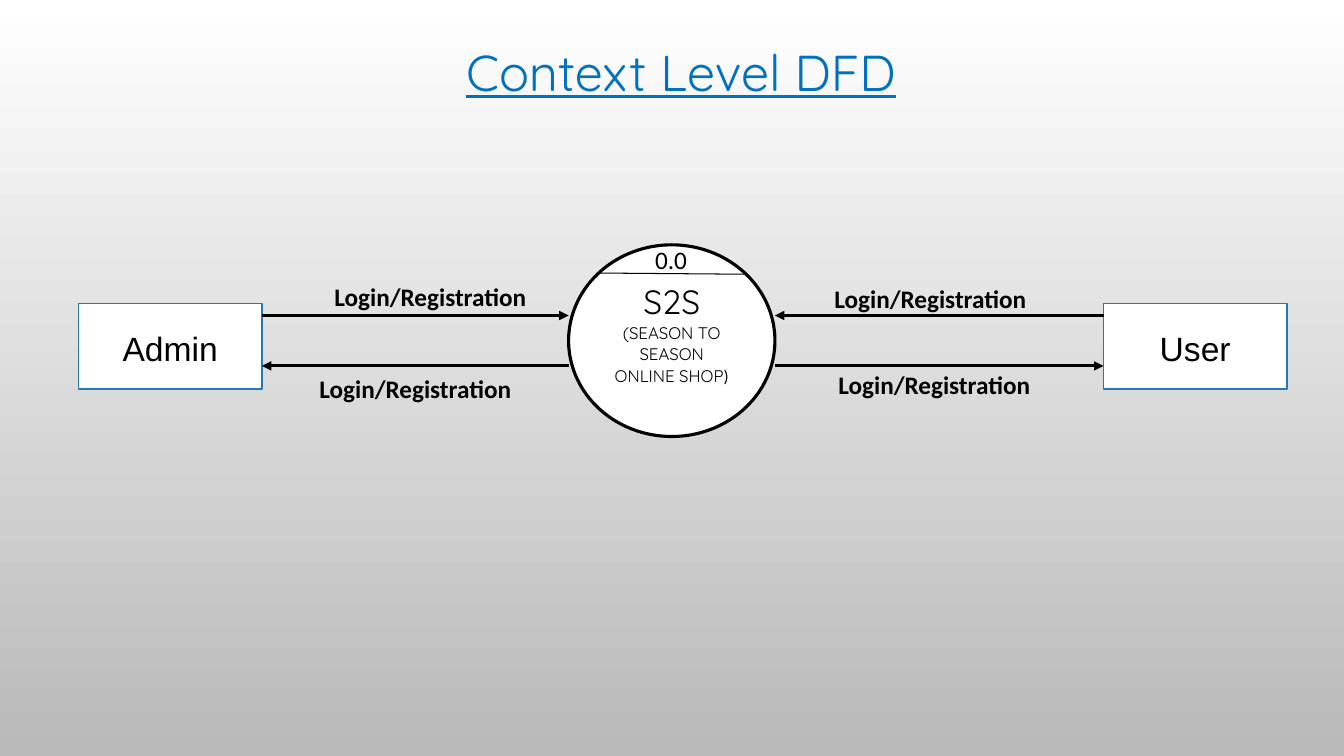
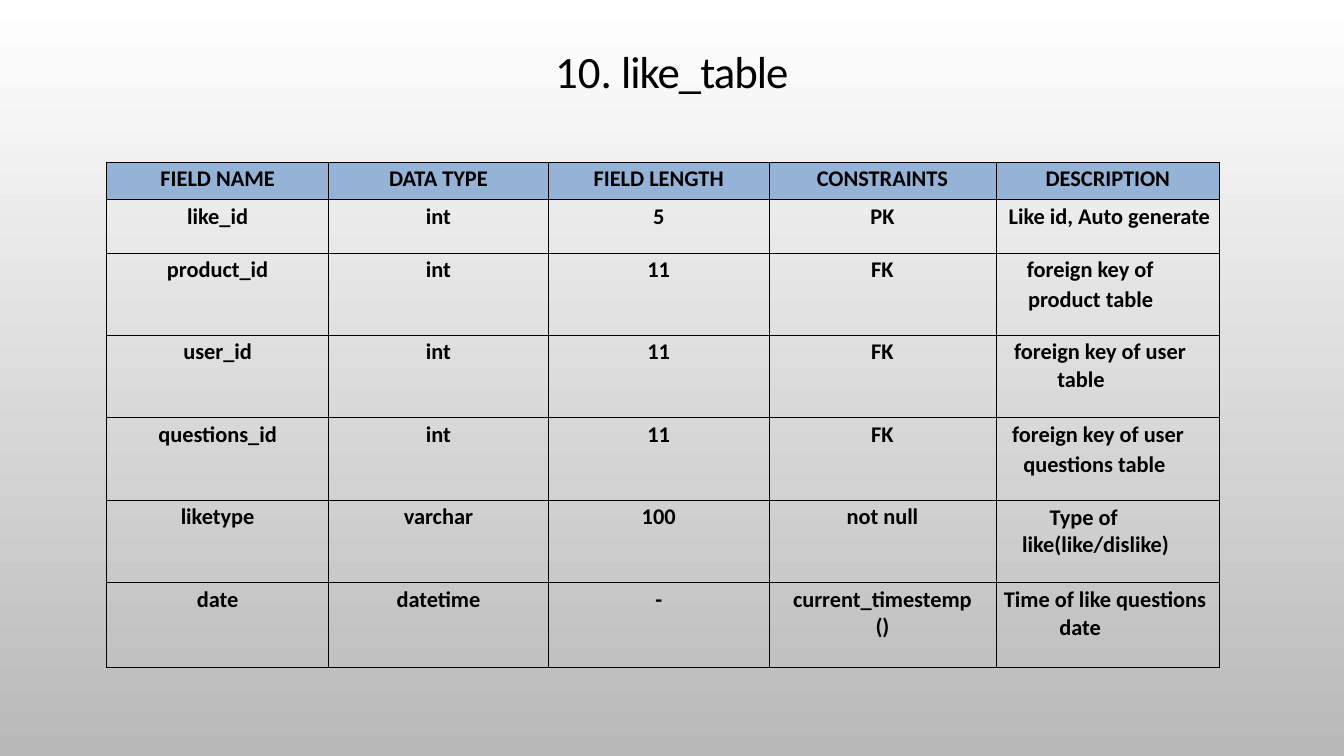
"""Builds two slides: a context diagram and a table of database fields."""
from dataclasses import dataclass

from pptx import Presentation
from pptx.dml.color import RGBColor as Rgb
from pptx.enum.shapes import MSO_CONNECTOR as Link, MSO_SHAPE as Kind
from pptx.enum.text import MSO_ANCHOR as Anchor, PP_ALIGN as Align
from pptx.oxml.ns import qn
from pptx.presentation import Presentation as Deck
from pptx.shapes.autoshape import Shape
from pptx.slide import Slide
from pptx.table import _Cell as Cell
from pptx.text.text import TextFrame as Frame, _Paragraph as Para
from pptx.util import Cm, Pt
from lxml.etree import SubElement as Sub


@dataclass(frozen=True)
class Theme:
    """Colours, fonts and type sizes in points."""
    black: str = "000000"
    white: str = "FFFFFF"
    grey: str = "B9B9B9"
    blue: str = "0070C0"
    edge: str = "2379B0"
    head: str = "94B3D6"
    sans: str = "Calibri"
    plain: str = "Arial"
    round: str = "Quicksand"
    title: int = 36
    topic: int = 32
    name: int = 24
    label: int = 18
    cell: int = 16
    gap: int = 14
    small: int = 12


@dataclass(frozen=True)
class Box:
    """Place and size in centimetres."""
    left: float
    top: float
    width: float
    height: float

    def emu(self) -> tuple[Cm, Cm, Cm, Cm]:
        """Gives the four lengths for a shape."""
        return Cm(self.left), Cm(self.top), Cm(self.width), Cm(self.height)


@dataclass(frozen=True)
class Flow:
    """A straight line between two points, in centimetres."""
    x1: float
    y1: float
    x2: float
    y2: float
    weight: float = 2.25
    arrow: bool = True


@dataclass(frozen=True)
class Note:
    """A description cell with its indents, line spacing and top margin."""
    text: str
    left: float = 0
    first: float = 0
    lead: float = 1.02
    top: float = 0.08
    align: Align = Align.LEFT


THEME = Theme()
LEAD, AFTER = 1.07, 8
LEFT_BOX, RIGHT_BOX = Box(1.98, 7.65, 4.62, 2.16), Box(27.81, 7.65, 4.62, 2.16)
HUB = Box(14.33, 6.17, 5.2, 4.83)
EDGE_L, EDGE_R = LEFT_BOX.left + LEFT_BOX.width, HUB.left + HUB.width
HIGH, LOW = 7.95, 9.22

FLOWS = [
    Flow(EDGE_L, HIGH, HUB.left, HIGH),
    Flow(EDGE_R, LOW, RIGHT_BOX.left, LOW),
    Flow(HUB.left, LOW, EDGE_L, LOW),
    Flow(RIGHT_BOX.left, HIGH, EDGE_R, HIGH),
    Flow(15.09, 6.88, 18.77, 6.91, weight=0.75, arrow=False),
]
LABELS = [(7.8, 9.22), (8.18, 6.91), (20.78, 6.96), (20.88, 9.12)]

HEADS = ["FIELD NAME", "DATA TYPE", "FIELD LENGTH", "CONSTRAINTS", "DESCRIPTION"]
ROWS = [
    ["like_id", "int", "5", "PK",
     Note("Like id, Auto generate", left=0.08, lead=1, align=Align.CENTER)],
    ["product_id", "int", "11", "FK",
     Note("foreign key of product table", 0.81, -0.03, 1.08, 0.03)],
    ["user_id", "int", "11", "FK",
     Note("foreign key of user table", 1.55, -1.09)],
    ["questions_id", "int", "11", "FK",
     Note("foreign key of user questions table", 0.69, -0.28, 1.09, 0.03)],
    ["liketype", "varchar", "100", "not null",
     Note("Type of like(like/dislike)", 0.66, 0.69)],
    ["date", "datetime", "-", "current_timestemp\n()",
     Note("Time of like questions date", 1.6, -1.4)],
]
WIDTHS = [5.59, 5.54, 5.56, 5.72, 5.64]
HEIGHTS = [0.94, 1.35, 2.06, 2.08, 2.08, 2.08, 2.13]


def write(para: Para, text: str, *, size: int, font: str = THEME.sans,
          color: str = THEME.black, bold: bool = False, under: bool = False,
          track: int = 0, align: Align = Align.LEFT, lead: float = 1,
          after: float = 0) -> None:
    """Adds one formatted run to a paragraph."""
    para.alignment, para.line_spacing = align, lead
    para.space_before, para.space_after = Pt(0), Pt(after)
    run = para.add_run()
    run.text = text
    style = run.font
    style.name, style.size, style.bold = font, Pt(size), bold
    style.underline = under
    style.color.rgb = Rgb.from_string(color)
    if track:
        run._r.get_or_add_rPr().set("spc", str(track))


def start(deck: Deck, box: Box) -> tuple[Slide, Para]:
    """Adds a slide and gives its placed title paragraph."""
    slide = deck.slides.add_slide(deck.slide_layouts[5])
    title = slide.shapes.title
    title.left, title.top, title.width, title.height = box.emu()
    title.text_frame.vertical_anchor = Anchor.MIDDLE
    return slide, title.text_frame.paragraphs[0]


def shape(slide: Slide, kind: Kind, box: Box, *, edge: str, weight: float,
          anchor: Anchor) -> Shape:
    """Draws a white outlined shape."""
    item = slide.shapes.add_shape(kind, *box.emu())
    item.shadow.inherit = False
    item.fill.solid()
    item.fill.fore_color.rgb = Rgb.from_string(THEME.white)
    item.line.color.rgb = Rgb.from_string(edge)
    item.line.width = Pt(weight)
    item.text_frame.word_wrap = True
    item.text_frame.vertical_anchor = anchor
    return item


def entity(slide: Slide, box: Box, name: str) -> None:
    """Draws a named outside party."""
    item = shape(slide, Kind.RECTANGLE, box, edge=THEME.edge, weight=1.25,
                 anchor=Anchor.MIDDLE)
    write(item.text_frame.paragraphs[0], name, size=THEME.name, font=THEME.plain,
          align=Align.CENTER, lead=LEAD, after=AFTER)


def hub(slide: Slide) -> None:
    """Draws the central process."""
    item = shape(slide, Kind.OVAL, HUB, edge=THEME.black, weight=2.25,
                 anchor=Anchor.TOP)
    runs = [
        ("S2S", THEME.name, THEME.round),
        (" ", THEME.gap, THEME.round),
        ("(SEASON TO SEASON ONLINE SHOP", THEME.small, THEME.round),
        (")", THEME.small, THEME.sans),
    ]
    for text, size, font in runs:
        write(item.text_frame.paragraphs[0], text, size=size, font=font,
              align=Align.CENTER, lead=LEAD, after=AFTER)


def connect(slide: Slide, flow: Flow) -> None:
    """Draws a line, with an arrowhead at its end if asked."""
    line = slide.shapes.add_connector(
        Link.STRAIGHT, Cm(flow.x1), Cm(flow.y1), Cm(flow.x2), Cm(flow.y2))
    line.line.color.rgb = Rgb.from_string(THEME.black)
    line.line.width = Pt(flow.weight)
    if flow.arrow:
        Sub(line.line._get_or_add_ln(), qn("a:tailEnd"), type="triangle")
    Sub(line._element.spPr, qn("a:effectLst"))


def field(slide: Slide, box: Box) -> Para:
    """Adds a text box and gives its first paragraph."""
    frame: Frame = slide.shapes.add_textbox(*box.emu()).text_frame
    frame.word_wrap = True
    return frame.paragraphs[0]


def border(cell: Cell) -> None:
    """Puts a thin black line on each side of a cell."""
    props = cell._tc.get_or_add_tcPr()
    for side in ("lnL", "lnR", "lnT", "lnB"):
        line = Sub(props, qn(f"a:{side}"), w=str(Pt(0.5)))
        Sub(Sub(line, qn("a:solidFill")), qn("a:srgbClr"), val=THEME.black)


def fill(cell: Cell, value: str | Note, header: bool) -> None:
    """Formats a cell and writes its lines."""
    note = value if isinstance(value, Note) else Note(
        value, lead=1, align=Align.CENTER)
    border(cell)
    if header:
        cell.fill.solid()
        cell.fill.fore_color.rgb = Rgb.from_string(THEME.head)
    else:
        cell.fill.background()
    cell.margin_left = cell.margin_right = cell.margin_bottom = 0
    cell.margin_top = Cm(note.top)
    frame = cell.text_frame
    for index, text in enumerate(note.text.split("\n")):
        para = frame.add_paragraph() if index else frame.paragraphs[0]
        props = para._p.get_or_add_pPr()
        props.set("marL", str(Cm(note.left)))
        props.set("indent", str(Cm(note.first)))
        write(para, text, size=THEME.cell, bold=True, align=note.align,
              lead=note.lead)


def context(deck: Deck) -> None:
    """Builds the context diagram slide."""
    slide, title = start(deck, Box(2.77, 0.66, 28.78, 2.46))
    write(title, "Context Level DFD", size=THEME.title, font=THEME.round,
          color=THEME.blue, under=True, align=Align.CENTER, lead=0.9)
    hub(slide)
    entity(slide, RIGHT_BOX, "User")
    entity(slide, LEFT_BOX, "Admin")
    for flow in FLOWS:
        connect(slide, flow)
    for left, top in LABELS:
        write(field(slide, Box(left, top, 5.6, 1.04)), "Login/Registration",
              size=THEME.label, bold=True, lead=LEAD, after=AFTER)
    write(field(slide, Box(16.26, 6.02, 1.45, 1.02)), "0.0", size=THEME.label)


def fields(deck: Deck) -> None:
    """Builds the field table slide."""
    slide, title = start(deck, Box(2.54, 0.66, 28.78, 2.39))
    for text, track in (("10.", 0), (" like_table", -70)):
        write(title, text, size=THEME.topic, track=track, align=Align.CENTER,
              lead=0.9)
    box = Box(2.69, 4.09, sum(WIDTHS), sum(HEIGHTS))
    grid = slide.shapes.add_table(len(HEIGHTS), len(WIDTHS), *box.emu()).table
    grid.horz_banding = False
    for column, width in zip(grid.columns, WIDTHS):
        column.width = Cm(width)
    for index, (row, values) in enumerate(zip(grid.rows, [HEADS, *ROWS])):
        row.height = Cm(HEIGHTS[index])
        for cell, value in zip(row.cells, values):
            fill(cell, value, header=index == 0)


def main() -> None:
    """Sets up the deck and saves it."""
    deck = Presentation()
    deck.slide_width, deck.slide_height = Cm(33.87), Cm(19.05)
    back = deck.slide_master.background.fill
    back.gradient()
    back.gradient_angle = 270
    for stop, color in zip(back.gradient_stops, (THEME.white, THEME.grey)):
        stop.color.rgb = Rgb.from_string(color)
    context(deck)
    fields(deck)
    deck.save("out.pptx")


if __name__ == "__main__":
    main()
